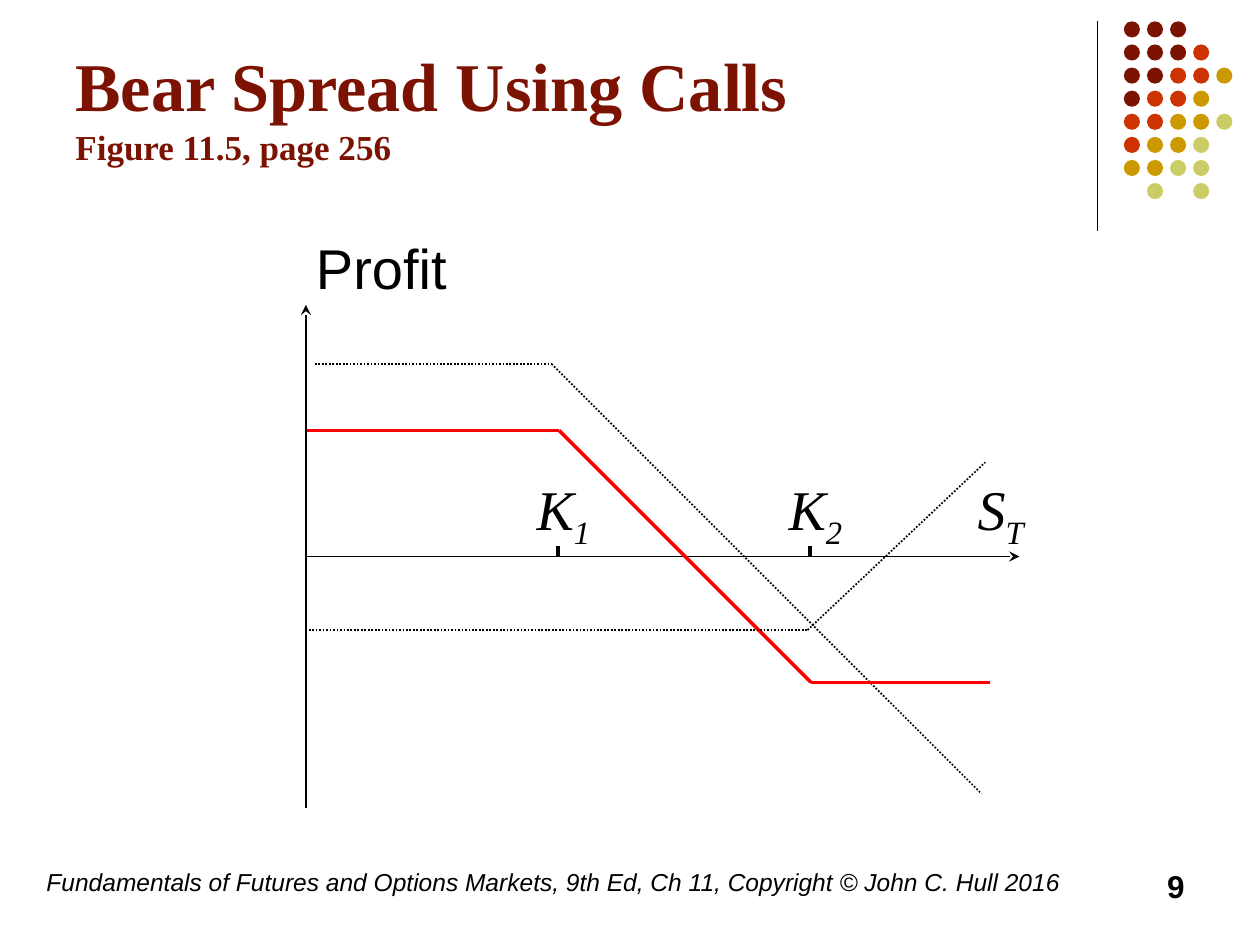
from lxml.etree import SubElement
from pptx import Presentation
from pptx.dml.color import RGBColor
from pptx.enum.dml import MSO_LINE
from pptx.enum.shapes import MSO_CONNECTOR, MSO_SHAPE
from pptx.enum.text import MSO_ANCHOR, PP_ALIGN
from pptx.oxml.ns import qn
from pptx.util import Pt

BLACK, RED, MAROON = "000000", "FF0000", "7C1302"
SERIF, SANS = "Times New Roman", "Arial"

DOT_COLORS = {"m": MAROON, "r": "CC3300", "o": "CC9900", "y": "CCCC66"}
DOT_ROWS = ["mmm", "mmmr", "mmrro", "mrro", "rrooy", "rooy", "ooyy", " y y"]
DOT_LEFT, DOT_TOP, DOT_STEP, DOT_SIZE = 642.2, 12.2, 13.2, 9.2

TITLE = [("Bear Spread Using Calls", 39), ("Figure 11.5, page 256", 20)]
FOOTER = "Fundamentals of Futures and Options Markets, 9th Ed, Ch 11, Copyright © John C. Hull 2016"
AXIS_LABELS = [("K", "1", 299.5, 46), ("K", "2", 443.5, 46), ("S", "T", 551.5, 42.5)]

AXIS_X, AXIS_Y = 174.8, 318
AXES = [
    [(AXIS_X, 462), (AXIS_X, 174.2)],
    [(AXIS_X, AXIS_Y), (582.5, AXIS_Y)],
]
STRIKES = [319, 463]
SHORT_CALL = [(180, 208), (315.2, 208), (560.8, 453.5)]
LONG_CALL = [(174.5, 360), (461.5, 360), (563, 264.2)]
SPREAD = [(175.5, 246), (319.5, 246), (463.5, 390), (565.5, 390)]


def rgb(value):
    return RGBColor.from_string(value)


def add_path(s, points, color=BLACK, width=1, dotted=False, arrow=False):
    for start, end in zip(points, points[1:]):
        c = s.shapes.add_connector(MSO_CONNECTOR.STRAIGHT, *map(Pt, start + end))
        c.line.color.rgb = rgb(color)
        c.line.width = Pt(width)
        if dotted:
            c.line.dash_style = MSO_LINE.ROUND_DOT
        if arrow:
            SubElement(c.line._get_or_add_ln(), qn("a:tailEnd"), type="stealth")
        SubElement(c._element.spPr, qn("a:effectLst"))


def add_text(s, box, text, size, font=SANS, color=BLACK, bold=False, italic=False, wrap=True):
    tf = s.shapes.add_textbox(*map(Pt, box)).text_frame
    tf.word_wrap = wrap
    p = tf.paragraphs[0]
    p.font.name, p.font.size = font, Pt(size)
    p.font.bold, p.font.italic = bold, italic
    p.font.color.rgb = rgb(color)
    p.add_run().text = text
    return tf


def add_dots(s):
    for row, codes in enumerate(DOT_ROWS):
        for col, code in enumerate(codes):
            if code == " ":
                continue
            box = (DOT_LEFT + col * DOT_STEP, DOT_TOP + row * DOT_STEP, DOT_SIZE, DOT_SIZE)
            sp = s.shapes.add_shape(MSO_SHAPE.OVAL, *map(Pt, box))
            sp.shadow.inherit = False
            sp.fill.solid()
            sp.fill.fore_color.rgb = rgb(DOT_COLORS[code])
            sp.line.fill.background()


def add_title(s):
    (heading, size), (reference, small) = TITLE
    tf = add_text(s, (36, 9.4, 594, 102), heading, size, SERIF, MAROON, bold=True)
    tf.vertical_anchor = MSO_ANCHOR.MIDDLE
    p = tf.paragraphs[0]
    p.add_line_break()
    r = p.add_run()
    r.text = reference
    r.font.size = Pt(small)


def add_diagram(s):
    for axis in AXES:
        add_path(s, axis, arrow=True)
    for x in STRIKES:
        add_path(s, [(x, AXIS_Y), (x, AXIS_Y - 6)], width=2)
    for letter, sub, left, width in AXIS_LABELS:
        tf = add_text(s, (left, 267.8, width, 45.4), letter, 32, SERIF, italic=True, wrap=False)
        r = tf.paragraphs[0].add_run()
        r.text = sub
        r.font._element.set("baseline", "-25000")
    add_text(s, (173.5, 129.6, 108, 46), "Profit", 32)
    add_path(s, SHORT_CALL, dotted=True)
    add_path(s, SPREAD, RED, 2)
    add_path(s, LONG_CALL, dotted=True)


def main():
    """Build the bear spread slide."""
    prs = Presentation()
    prs.slide_width, prs.slide_height = Pt(720), Pt(540)
    s = prs.slides.add_slide(prs.slide_layouts[6])
    add_path(s, [(627, 12), (627, 132)], width=0.75)
    add_dots(s)
    add_text(s, (19.5, 492, 595.5, 36), FOOTER, 14, italic=True)
    add_title(s)
    add_diagram(s)
    tf = add_text(s, (516, 492, 168, 36), "9", 18, bold=True)
    tf.paragraphs[0].alignment = PP_ALIGN.RIGHT
    prs.save("out.pptx")


if __name__ == "__main__":
    main()
